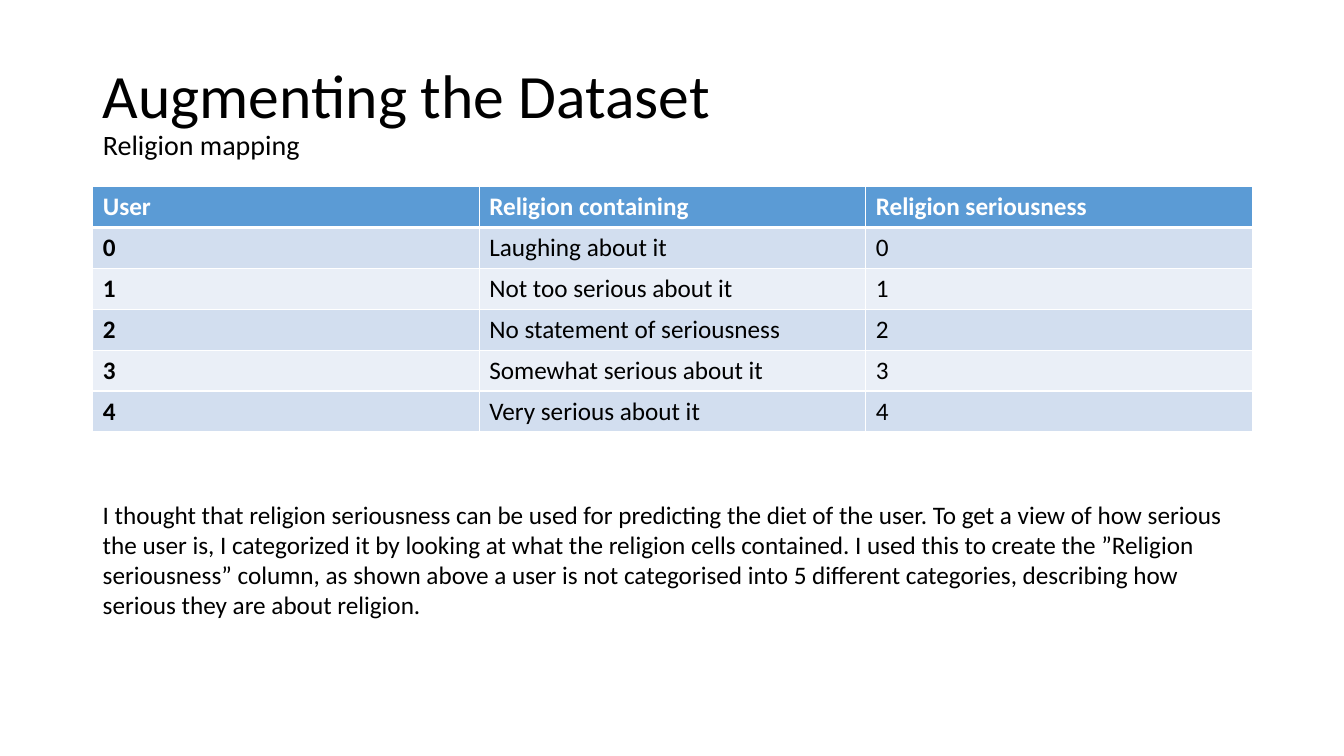
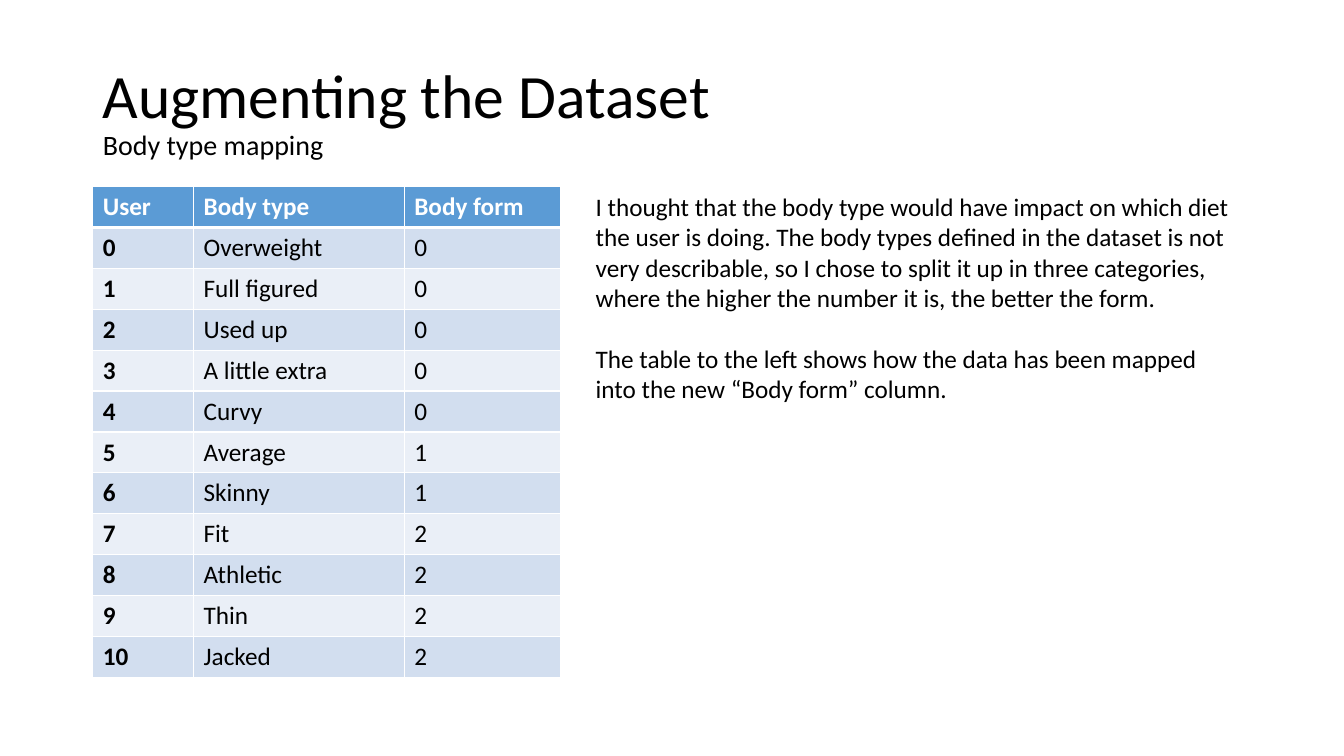
from lxml import etree
from pptx import Presentation
from pptx.dml.color import RGBColor
from pptx.enum import text
from pptx.oxml.ns import qn
from pptx.util import Inches, Pt

FONT = "Calibri"
COLORS = {
    "text": "000000",
    "header_text": "FFFFFF",
    "header": "5B9BD5",
    "dark_band": "D2DEEF",
    "light_band": "EAEFF7",
    "border": "FFFFFF",
}
LEFT, CONTENT_TOP, CONTENT_WIDTH = 0.92, 1.85, 11.5
ROW_HEIGHT = 0.406

RELIGION_ROWS = [
    ("Laughing about it", 0),
    ("Not too serious about it", 1),
    ("No statement of seriousness", 2),
    ("Somewhat serious about it", 3),
    ("Very serious about it", 4),
]
BODY_ROWS = [
    ("Overweight", 0),
    ("Full figured", 0),
    ("Used up", 0),
    ("A little extra", 0),
    ("Curvy", 0),
    ("Average", 1),
    ("Skinny", 1),
    ("Fit", 2),
    ("Athletic", 2),
    ("Thin", 2),
    ("Jacked", 2),
]
RELIGION_TEXT = [
    "I thought that religion seriousness can be used for predicting the diet "
    "of the user. To get a view of how serious the user is, I categorized it "
    "by looking at what the religion cells contained. I used this to create "
    "the ”Religion seriousness” column, as shown above a user is not "
    "categorised into 5 different categories, describing how serious they "
    "are about religion.",
]
BODY_TEXT = [
    "I thought that the body type would have impact on which diet the user is "
    "doing. The body types defined in the dataset is not very describable, so "
    "I chose to split it up in three categories, where the higher the number "
    "it is, the better the form.",
    "The table to the left shows how the data has been mapped into the new "
    "“Body form” column.",
]


def style(paragraph, size=18, color="text", bold=False):
    paragraph.font.name = FONT
    paragraph.font.size = Pt(size)
    paragraph.font.bold = bold
    paragraph.font.color.rgb = RGBColor.from_string(COLORS[color])


def add_titled_slide(prs, subtitle):
    slide = prs.slides.add_slide(prs.slide_layouts[5])
    title = slide.shapes.title
    title.left, title.top = Inches(LEFT), Inches(0.4)
    title.width, title.height = Inches(CONTENT_WIDTH), Inches(1.45)
    frame = title.text_frame
    frame.auto_size = text.MSO_AUTO_SIZE.NONE
    frame.vertical_anchor = text.MSO_ANCHOR.MIDDLE
    heading = frame.paragraphs[0]
    heading.alignment = text.PP_ALIGN.LEFT
    heading.line_spacing = 0.9
    style(heading, size=44)
    heading.add_run().text = "Augmenting the Dataset"
    heading.add_line_break()
    mapping = heading.add_run()
    mapping.text = subtitle
    mapping.font.size = Pt(20)
    return slide


def set_borders(cell, top, bottom):
    properties = cell._tc.get_or_add_tcPr()
    for side, width in (("L", 1), ("R", 1), ("T", top), ("B", bottom)):
        line = etree.SubElement(properties, qn(f"a:ln{side}"), w=str(Pt(width)))
        fill = etree.SubElement(line, qn("a:solidFill"))
        etree.SubElement(fill, qn("a:srgbClr"), val=COLORS["border"])


def add_mapping_table(slide, headers, mappings, widths):
    rows = [headers] + [(i, *mapping) for i, mapping in enumerate(mappings)]
    table = slide.shapes.add_table(
        len(rows), len(headers), Inches(LEFT), Inches(CONTENT_TOP),
        Inches(sum(widths)), Inches(ROW_HEIGHT * len(rows))).table
    for column, width in zip(table.columns, widths):
        column.width = Inches(width)
    for r, row in enumerate(rows):
        is_header = r == 0
        band = "header" if is_header else ("light_band", "dark_band")[r % 2]
        for c, value in enumerate(row):
            cell = table.cell(r, c)
            cell.text = str(value)
            style(cell.text_frame.paragraphs[0],
                  color="header_text" if is_header else "text",
                  bold=is_header or c == 0)
            set_borders(cell, top=3 if r == 1 else 1, bottom=3 if is_header else 1)
            cell.fill.solid()
            cell.fill.fore_color.rgb = RGBColor.from_string(COLORS[band])


def add_explanation(slide, paragraphs, left, top, width, height):
    frame = slide.shapes.add_textbox(
        Inches(left), Inches(top), Inches(width), Inches(height)).text_frame
    frame.word_wrap = True
    frame.auto_size = text.MSO_AUTO_SIZE.SHAPE_TO_FIT_TEXT
    for i, wording in enumerate(paragraphs):
        paragraph = frame.add_paragraph() if i else frame.paragraphs[0]
        paragraph.text = wording
        style(paragraph)
        if i:
            paragraph.space_before = Pt(22)


def main():
    prs = Presentation()
    prs.slide_width, prs.slide_height = Inches(13.33), Inches(7.5)

    religion = add_titled_slide(prs, "Religion mapping")
    add_mapping_table(
        religion, ("User", "Religion containing", "Religion seriousness"),
        RELIGION_ROWS, [CONTENT_WIDTH / 3] * 3)
    add_explanation(religion, RELIGION_TEXT, LEFT, 4.9, CONTENT_WIDTH, 1.31)

    body = add_titled_slide(prs, "Body type mapping")
    add_mapping_table(
        body, ("User", "Body type", "Body form"), BODY_ROWS, [1, 2.09, 1.55])
    add_explanation(body, BODY_TEXT, 5.81, CONTENT_TOP, 6.61, 2.22)

    prs.save("out.pptx")


main()
